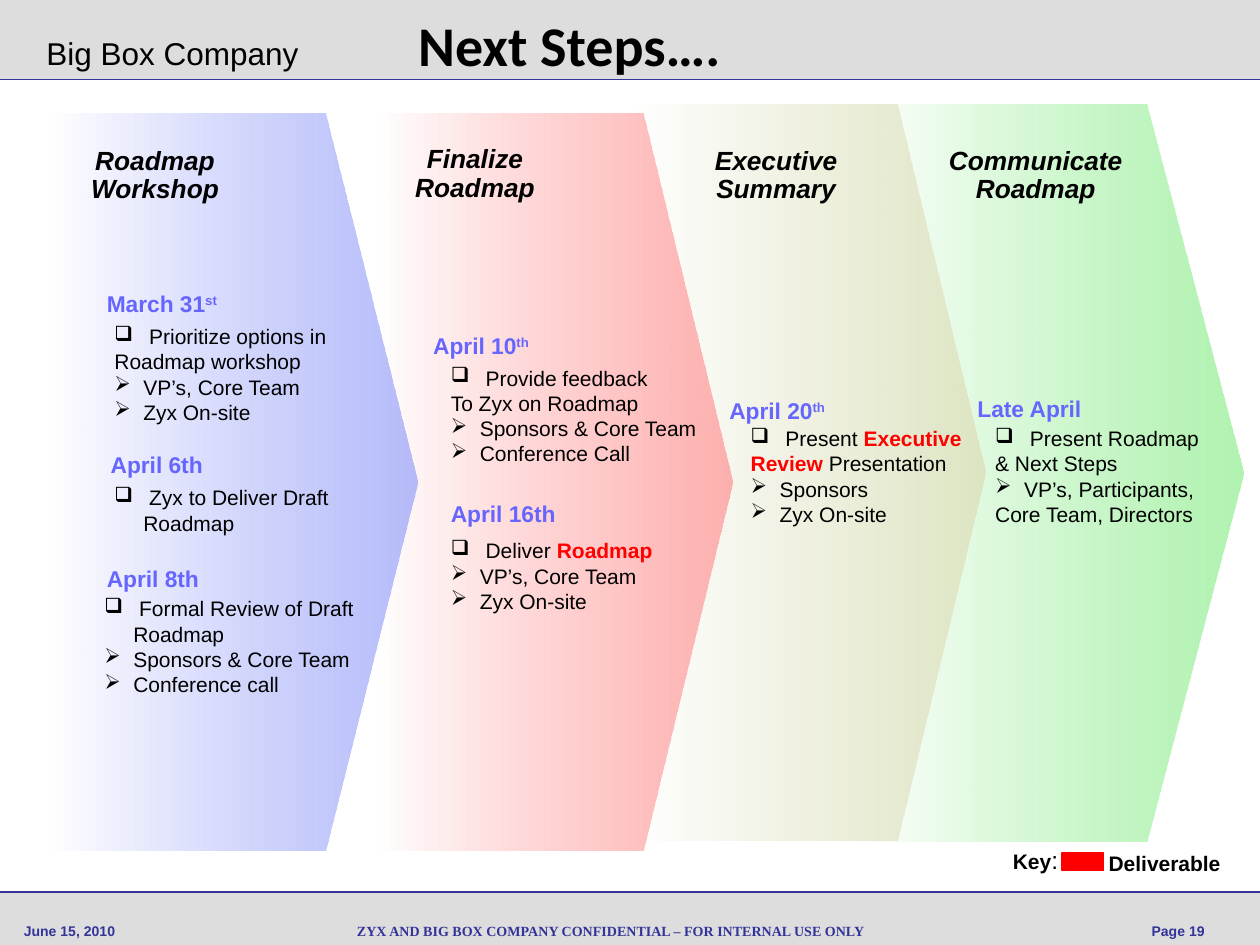
from dataclasses import dataclass

from lxml.etree import SubElement
from pptx import Presentation
from pptx.dml.color import RGBColor
from pptx.enum.shapes import MSO_CONNECTOR, MSO_SHAPE
from pptx.enum.text import MSO_ANCHOR, MSO_AUTO_SIZE as AUTO, PP_ALIGN as AL
from pptx.oxml.ns import qn
from pptx.util import Emu, Inches, Pt

PRS_W, PRS_H = Inches(10), Inches(7.5)
COLS, ROWS = 100, 75


@dataclass(frozen=True)
class Theme:
    sans: str = "Arial"
    serif: str = "Times New Roman"
    display: str = "Calibri"
    ink: str = "000000"
    navy: str = "333399"
    date: str = "6666FF"
    hot: str = "FF0000"
    band: str = "DDDDDD"
    fade: str = "FFFFFF"
    title: int = 32
    client: int = 18
    heading: int = 15
    colon: int = 14
    step: int = 13
    body: int = 12
    footer: int = 8


T = Theme()
HOT = dict(color=T.hot, bold=True)
SUP = dict(raised=30)
HANG = Inches(0.23)
BULLETS = "❑➢"


@dataclass(frozen=True)
class Phase:
    chevron: tuple
    color: str
    opacity: int
    heading_box: tuple
    heading: list
    steps: list  # (date position, date runs, body position, body paragraphs)


PHASES = [
    Phase((3.9, 9, 29.2, 58.5), "A0A9FA", 76,
          (6.7, 11.7, 11.2, 4.5), ["Roadmap Workshop"], [
        ((7.5, 22.5), ["March 31", ("st", SUP)], (8.1, 25.2),
         ["❑ Prioritize options in", "Roadmap workshop",
          "➢VP’s, Core Team", "➢Zyx On-site"]),
        ((7.8, 35.3), ["April 6th"], (8.1, 38),
         ["❑ Zyx to Deliver Draft Roadmap"]),
        ((7.5, 44.3), ["April 8th"], (7.3, 46.8),
         ["❑ Formal Review of Draft Roadmap",
          "➢Sponsors & Core Team", "➢Conference call"]),
    ]),
    Phase((29.8, 9, 28.3, 58.5), "FF9999", 74,
          (31.7, 11.6, 12, 4.5), ["Finalize Roadmap"], [
        ((33.4, 25.8), ["April 10", ("th", SUP)], (34.8, 28.5),
         ["❑ Provide feedback", "To Zyx on Roadmap",
          "➢Sponsors & Core Team", "➢Conference Call"]),
        ((34.8, 39.2), ["April 16th"], (34.8, 42.2),
         [["❑ Deliver ", ("Roadmap", HOT)],
          "➢VP’s, Core Team", "➢Zyx On-site"]),
    ]),
    Phase((50.2, 8.3, 28, 58.4), "DCE0BA", 76,
          (55.3, 11.7, 12.6, 4.5), ["Executive", "Summary"], [
        ((56.9, 31), ["April 20", ("th", SUP)], (58.6, 33.3),
         [["❑ Present ", ("Executive", HOT)],
          [("Review", HOT), " Presentation"],
          "➢Sponsors", "➢Zyx On-site"]),
    ]),
    Phase((67.9, 8.3, 30.8, 58.5), "99EF99", 76,
          (74.7, 11.7, 15, 4.5), ["Communicate", "Roadmap"], [
        ((76.6, 30.8), ["Late April"], (78, 33.3),
         ["❑ Present Roadmap", "& Next Steps",
          "➢VP’s, Participants,", "Core Team, Directors"]),
    ]),
]


def rgb(code):
    return RGBColor.from_string(code)


def grid(*values):
    """Turn alternating columns and rows into slide lengths."""
    steps = (PRS_W / COLS, PRS_H / ROWS)
    return [Emu(round(v * steps[i % 2])) for i, v in enumerate(values)]


def set_bullet(p, char):
    pPr = p._p.get_or_add_pPr()
    pPr.set("marL", str(HANG))
    pPr.set("indent", str(-HANG))
    clr = SubElement(pPr, qn("a:buClr"))
    SubElement(clr, qn("a:srgbClr"), val=T.ink)
    SubElement(pPr, qn("a:buChar"), char=char)


def format_run(r, size=T.body, font=T.sans, color=T.ink, bold=False,
               italic=False, raised=0):
    f = r.font
    f.size, f.name, f.bold, f.italic = Pt(size), font, bold, italic
    f.color.rgb = rgb(color)
    if raised:
        f._element.set("baseline", str(raised * 1000))


def write(tf, paragraphs, align=AL.LEFT, spacing=None, **fmt):
    """Fill a frame; a paragraph is a string or a list of strings and
    (string, format) pairs, and a leading bullet sign becomes its bullet."""
    for i, runs in enumerate(paragraphs):
        p = tf.add_paragraph() if i else tf.paragraphs[0]
        runs = [runs] if isinstance(runs, str) else runs
        for j, run in enumerate(runs):
            text, own = (run, {}) if isinstance(run, str) else run
            if j == 0 and text[0] in BULLETS:
                set_bullet(p, text[0])
                text = text[1:]
            r = p.add_run()
            r.text = text
            format_run(r, **{**fmt, **own})
        p.alignment = align
        if spacing:
            p.line_spacing = spacing


def add_text(slide, box, paragraphs, wrap=True, inset=True, **fmt):
    tf = slide.shapes.add_textbox(*grid(*box)).text_frame
    tf.word_wrap = wrap
    tf.auto_size = AUTO.SHAPE_TO_FIT_TEXT
    if not inset:
        tf.margin_left = tf.margin_right = tf.margin_top = tf.margin_bottom = 0
    write(tf, paragraphs, **fmt)


def add_rect(slide, box, color, outlined=False):
    sp = slide.shapes.add_shape(MSO_SHAPE.RECTANGLE, *grid(*box))
    sp.shadow.inherit = False
    sp.fill.solid()
    sp.fill.fore_color.rgb = rgb(color)
    if outlined:
        sp.line.color.rgb = rgb(color)
        sp.line.width = Pt(0.75)
    else:
        sp.line.fill.background()


def add_rule(slide, row):
    line = slide.shapes.add_connector(MSO_CONNECTOR.STRAIGHT,
                                      *grid(COLS, row, 0, row))
    line.line.color.rgb = rgb(T.navy)
    line.line.width = Pt(1)
    SubElement(line._element.spPr, qn("a:effectLst"))


def add_chevron(slide, phase):
    """Block whose point takes the last quarter of its width."""
    x, y, w, h = phase.chevron
    shoulder = x + w * 0.75
    corners = [(x, y), (shoulder, y), (x + w, y + h / 2),
               (shoulder, y + h), (x, y + h)]
    start, *rest = [grid(*c) for c in corners]
    builder = slide.shapes.build_freeform(*start)
    builder.add_line_segments(rest, close=True)
    sp = builder.convert_to_shape()
    sp.shadow.inherit = False
    sp.line.fill.background()
    sp.fill.gradient()
    sp.fill.gradient_angle = 0
    for stop, color, pos in zip(sp.fill.gradient_stops,
                                (T.fade, phase.color), (0, 1)):
        stop.color.rgb = rgb(color)
        stop.position = pos
    end = sp._element.spPr.findall(".//" + qn("a:srgbClr"))[-1]
    SubElement(end, qn("a:alpha"), val=str(phase.opacity * 1000))


def add_frame(slide):
    """Header and footer bands with their rules and small print."""
    for top, height, rule in ((0, 6.3, 6.3), (70.8, 4.2, 70.8)):
        add_rect(slide, (0, top, COLS, height), T.band)
        add_rule(slide, rule)
    small = dict(size=T.footer, color=T.navy, bold=True)
    add_text(slide, (26.4, 72.7, 44.2, 2.3),
             ["ZYX AND BIG BOX COMPANY CONFIDENTIAL – FOR INTERNAL USE ONLY"],
             align=AL.CENTER, font=T.serif, **small)
    add_text(slide, (0.9, 72.7, 14.1, 2.3), ["June 15, 2010"], **small)
    add_text(slide, (77.8, 72.7, 18.8, 2.3), ["Page 19"],
             align=AL.RIGHT, **small)
    add_text(slide, (2.7, 2.2, 22.1, 4), ["Big Box Company"], size=T.client)


def set_title(slide, text):
    title = slide.shapes.title
    title.left, title.top, title.width, title.height = grid(0.2, 0, 90, 12.5)
    tf = title.text_frame
    tf.auto_size = AUTO.NONE
    tf.vertical_anchor = MSO_ANCHOR.TOP
    tf.margin_top = Inches(0.08)
    write(tf, [text], align=AL.CENTER, size=T.title, font=T.display, bold=True)
    slide.shapes._spTree.append(title._element)  # in front of the header band


def add_phase_text(slide, phase):
    add_text(slide, phase.heading_box, phase.heading, inset=False,
             align=AL.CENTER, spacing=0.9, size=T.heading, bold=True,
             italic=True)
    for date_at, date, body_at, body in phase.steps:
        add_text(slide, (*body_at, 23.3, 2 + 2 * len(body)), body)
        add_text(slide, (*date_at, 15.6, 3.2), [date], size=T.step,
                 color=T.date, bold=True)


def add_key(slide):
    add_rect(slide, (84.3, 67.7, 3.3, 1.4), T.hot, outlined=True)
    add_text(slide, (87, 67, 10.9, 3), ["Deliverable"], wrap=False, bold=True)
    add_text(slide, (79.4, 66.6, 5.6, 3.4),
             [["Key", (":", dict(size=T.colon, bold=False))]],
             wrap=False, bold=True)


def main():
    prs = Presentation()
    prs.slide_width, prs.slide_height = PRS_W, PRS_H
    slide = prs.slides.add_slide(prs.slide_layouts[5])
    add_frame(slide)
    set_title(slide, "Next Steps….")
    for phase in reversed(PHASES):
        add_chevron(slide, phase)
    for phase in PHASES:
        add_phase_text(slide, phase)
    add_key(slide)
    prs.save("out.pptx")


if __name__ == "__main__":
    main()
